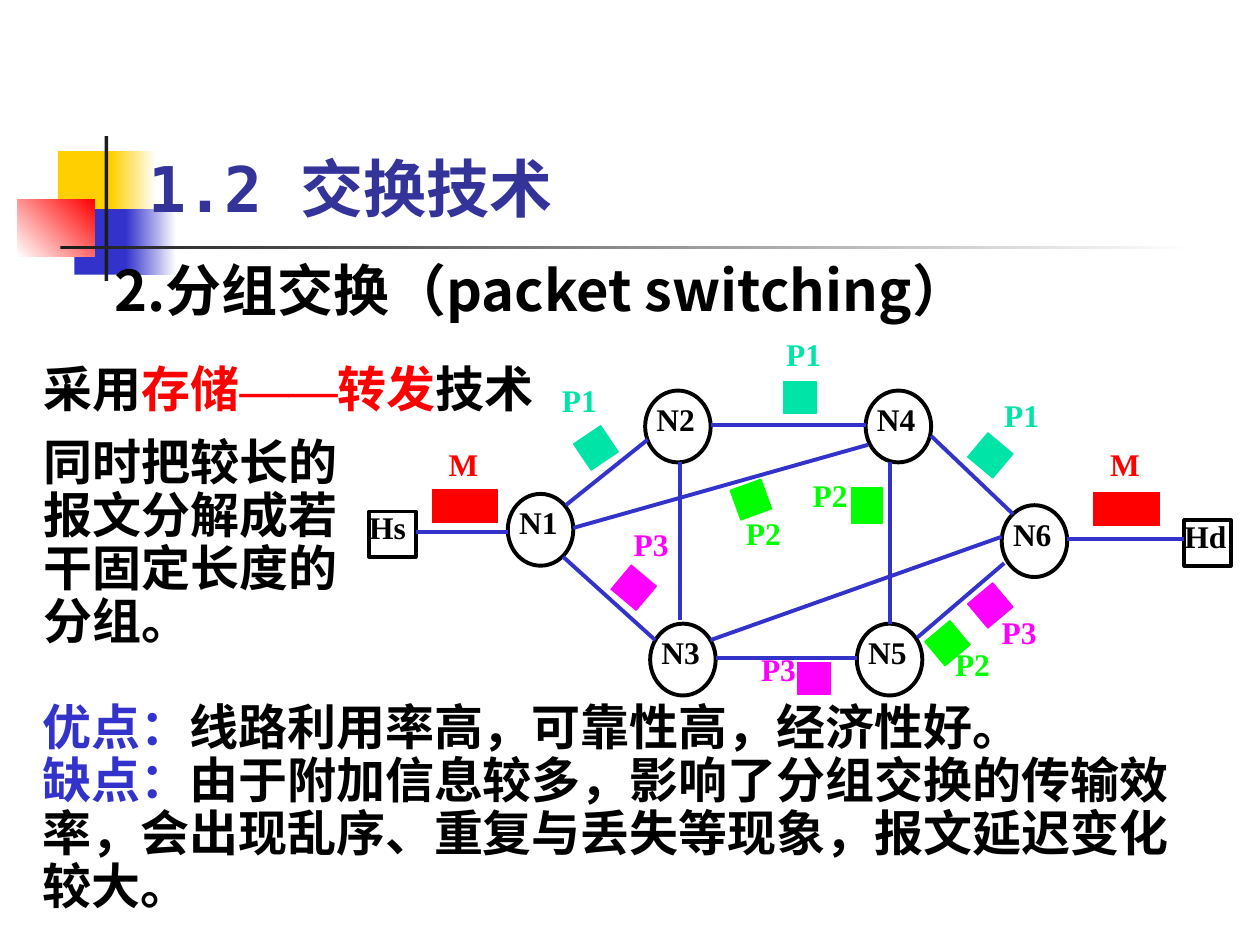
from dataclasses import dataclass

from lxml import etree
from pptx import Presentation
from pptx.dml.color import RGBColor
from pptx.enum.shapes import MSO_CONNECTOR, MSO_SHAPE
from pptx.enum.text import MSO_ANCHOR, MSO_AUTO_SIZE, PP_ALIGN
from pptx.oxml.ns import qn
from pptx.util import Inches, Pt

RECT, OVAL = MSO_SHAPE.RECTANGLE, MSO_SHAPE.OVAL
STRAIGHT = MSO_CONNECTOR.STRAIGHT
LEFT, JUSTIFY = PP_ALIGN.LEFT, PP_ALIGN.JUSTIFY
TOP, BOTTOM = MSO_ANCHOR.TOP, MSO_ANCHOR.BOTTOM
NO_FIT, GROW = MSO_AUTO_SIZE.NONE, MSO_AUTO_SIZE.SHAPE_TO_FIT_TEXT


@dataclass(frozen=True)
class Theme:
    ink: str = "000000"
    bar: str = "1C1C1C"
    white: str = "FFFFFF"
    blue: str = "3333CC"
    heading: str = "333399"
    yellow: str = "FFCF01"
    red: str = "FF0000"
    mint: str = "00E4A8"
    green: str = "00FF00"
    magenta: str = "FF00FF"
    cjk: str = "Noto Sans CJK SC"
    mono: str = "DejaVu Sans Mono"
    serif: str = "Times New Roman"
    title_size: int = 36
    subtitle_size: int = 32
    body_size: int = 28
    label_size: int = 18
    stroke: float = 2.25
    thin: float = 0.75


T = Theme()

TITLE = ("1.2 交换技术", (1.08, 0.92, 8.5, 0.92))
SUBTITLE = ("2.分组交换（packet switching）", (0.81, 2.04, 8.5, 0.63))
HANGING = 0.38

ORNAMENT = [
    ((0.46, 1.2, 0.48, 0.52), (T.yellow,), 0),
    ((0.88, 1.2, 0.36, 0.52), (T.yellow, T.white), 0),
    ((0.59, 1.66, 0.46, 0.52), (T.blue,), 0),
    ((1, 1.66, 0.4, 0.52), (T.blue, T.white), 0),
    ((0.14, 1.58, 0.61, 0.46), (T.white, T.red), 45),
    ((0.83, 1.08, 0.03, 1.15), (T.bar,), 0),
    ((0.48, 1.95, 9, 0.03), (T.bar, T.white), 0),
]

NODE_SIZE, NODE_LABEL_OFFSET = (0.52, 0.57), (0.09, 0.1)
NODES = {
    "N1": (4.03, 3.92), "N2": (5.12, 3.1), "N3": (5.16, 4.95),
    "N4": (6.87, 3.1), "N5": (6.8, 4.95), "N6": (7.95, 4.01),
}
HOSTS = {"Hs": (2.93, 4.06), "Hd": (9.4, 4.13)}
LABEL_SIZE = (0.37, 0.36)
LINKS = [
    (3.3, 4.22, 4.03, 4.22), (4.49, 4.01, 5.14, 3.49),
    (5.64, 3.37, 6.87, 3.37), (4.47, 4.42, 5.2, 5.08),
    (5.68, 5.22, 6.8, 5.22), (7.28, 5.06, 7.97, 4.47),
    (7.39, 3.46, 8.04, 4.08), (8.47, 4.28, 9.4, 4.28),
    (4.55, 4.19, 6.89, 3.53), (5.64, 5.08, 7.95, 4.26),
    (5.4, 3.67, 5.4, 4.92), (7.06, 3.67, 7.06, 4.95),
]

SQUARE, UPRIGHT, MESSAGE = (0.26, 0.25), (0.28, 0.24), (0.52, 0.26)
UNIT_COLORS = {"M": T.red, "P1": T.mint, "P2": T.green, "P3": T.magenta}
UNITS = [
    ("P2", (7.56, 5.14), (7.39, 4.98), SQUARE, 320),
    ("P3", (7.93, 4.89), (7.73, 4.68), SQUARE, 320),
    ("P3", (6.02, 5.18), (6.33, 5.26), SQUARE, 0),
    ("P2", (6.43, 3.8), (6.74, 3.89), UPRIGHT, 270),
    ("P2", (5.9, 4.1), (5.83, 3.84), SQUARE, 340),
    ("M", (3.54, 3.56), (3.43, 3.89), MESSAGE, 0),
    ("P3", (5.01, 4.19), (4.9, 4.54), SQUARE, 40),
    ("M", (8.79, 3.56), (8.68, 3.91), MESSAGE, 0),
    ("P1", (6.22, 2.68), (6.22, 3.03), SQUARE, 0),
    ("P1", (7.95, 3.17), (7.73, 3.49), SQUARE, 40),
    ("P1", (4.44, 3.05), (4.6, 3.43), SQUARE, 326),
]

PASSAGES = [
    ((0.24, 5.53, 9.33, 1.97), True, [
        [("优点：", T.blue, T.cjk), ("线路利用率高，可靠性高，经济性好。", T.ink, T.cjk)],
        [("缺点：", T.blue, T.cjk),
         ("由于附加信息较多，影响了分组交换的传输效率，会出现乱序、重复与丢失等现象，"
          "报文延迟变化较大。", T.ink, T.cjk)],
    ]),
    ((0.25, 3.43, 2.67, 1.97), True, [
        [("同时把较长的报文分解成若干固定长度的分组。", T.ink, T.cjk)],
    ]),
    ((0.25, 2.85, 4.1, 0.57), False, [
        [("采用", T.ink, T.cjk), ("存储", T.red, T.cjk), ("——", T.red, T.serif),
         ("转发", T.red, T.cjk), ("技术", T.ink, T.cjk)],
    ]),
]


def inches(values):
    return [Inches(value) for value in values]


def style(run, size, color, face, east_asian=None):
    font = run.font
    font.size, font.bold, font.name = Pt(size), True, face
    font.color.rgb = RGBColor.from_string(color)
    etree.SubElement(run._r.get_or_add_rPr(), qn("a:ea"), typeface=east_asian or face)


def add_block(shapes, preset, area, colors=(), angle=0, outline=None, weight=T.stroke):
    block = shapes.add_shape(preset, *inches(area))
    block.shadow.inherit = False
    if len(colors) == 2:
        block.fill.gradient()
        block.fill.gradient_angle = angle
        for stop, color in zip(block.fill.gradient_stops, colors):
            stop.color.rgb = RGBColor.from_string(color)
    elif colors:
        block.fill.solid()
        block.fill.fore_color.rgb = RGBColor.from_string(colors[0])
    else:
        block.fill.background()
    if outline:
        block.line.color.rgb = RGBColor.from_string(outline)
        block.line.width = Pt(weight)
    else:
        block.line.fill.background()
    return block


def write_label(holder, text, color, side=0):
    frame = holder.text_frame
    frame.text, frame.word_wrap, frame.vertical_anchor = text, True, TOP
    frame.margin_left = frame.margin_right = Inches(side)
    frame.margin_top = frame.margin_bottom = Inches(0.01)
    paragraph = frame.paragraphs[0]
    paragraph.alignment, paragraph.line_spacing = JUSTIFY, 0.9
    style(paragraph.runs[0], T.label_size, color, T.serif)


def add_network(slide):
    network = slide.shapes.add_group_shape().shapes
    for position in NODES.values():
        add_block(network, OVAL, position + NODE_SIZE, outline=T.ink)
    for name, position in NODES.items():
        corner = tuple(p + d for p, d in zip(position, NODE_LABEL_OFFSET))
        write_label(network.add_textbox(*inches(corner + LABEL_SIZE)), name, T.ink)
    for name, position in HOSTS.items():
        write_label(add_block(network, RECT, position + LABEL_SIZE, outline=T.ink), name, T.ink)
    for ends in LINKS:
        link = network.add_connector(STRAIGHT, *inches(ends))
        link.line.color.rgb = RGBColor.from_string(T.blue)
        link.line.width = Pt(T.stroke)
        etree.SubElement(link._element.spPr, qn("a:effectLst"))


def add_unit(slide, name, label_at, block_at, size, rotation):
    unit, color = slide.shapes.add_group_shape().shapes, UNIT_COLORS[name]
    write_label(unit.add_textbox(*inches(label_at + LABEL_SIZE)), name, color, 0.02)
    block = add_block(unit, RECT, block_at + size, (color,), outline=color, weight=T.thin)
    block.rotation = rotation


def add_passage(slide, area, wrap, paragraphs):
    frame = slide.shapes.add_textbox(*inches(area)).text_frame
    frame.word_wrap, frame.auto_size = wrap, GROW
    for index, pieces in enumerate(paragraphs):
        paragraph = frame.add_paragraph() if index else frame.paragraphs[0]
        paragraph.line_spacing = 0.9
        for text, color, face in pieces:
            run = paragraph.add_run()
            run.text = text
            style(run, T.body_size, color, face)


def fill_placeholder(holder, content, anchor, size, color, face):
    text, area = content
    holder.left, holder.top, holder.width, holder.height = inches(area)
    frame = holder.text_frame
    frame.text, frame.vertical_anchor, frame.auto_size = text, anchor, NO_FIT
    paragraph = frame.paragraphs[0]
    paragraph.alignment = LEFT
    style(paragraph.runs[0], size, color, face, T.cjk)
    holder.element.getparent().append(holder.element)
    return paragraph


def main():
    deck = Presentation()
    deck.slide_width, deck.slide_height = Inches(10), Inches(7.5)
    slide = deck.slides.add_slide(deck.slide_layouts[1])
    title, subtitle = slide.placeholders
    for area, colors, angle in ORNAMENT:
        add_block(slide.shapes, RECT, area, colors, angle)
    heading = fill_placeholder(subtitle, SUBTITLE, TOP, T.subtitle_size, T.ink, T.cjk)
    heading.line_spacing = 0.9
    properties = heading._p.get_or_add_pPr()
    properties.set("marL", str(Inches(HANGING)))
    properties.set("indent", str(-Inches(HANGING)))
    etree.SubElement(properties, qn("a:buNone"))
    add_network(slide)
    for unit in UNITS:
        add_unit(slide, *unit)
    for passage in PASSAGES:
        add_passage(slide, *passage)
    fill_placeholder(title, TITLE, BOTTOM, T.title_size, T.heading, T.mono)
    deck.save("out.pptx")


if __name__ == "__main__":
    main()
